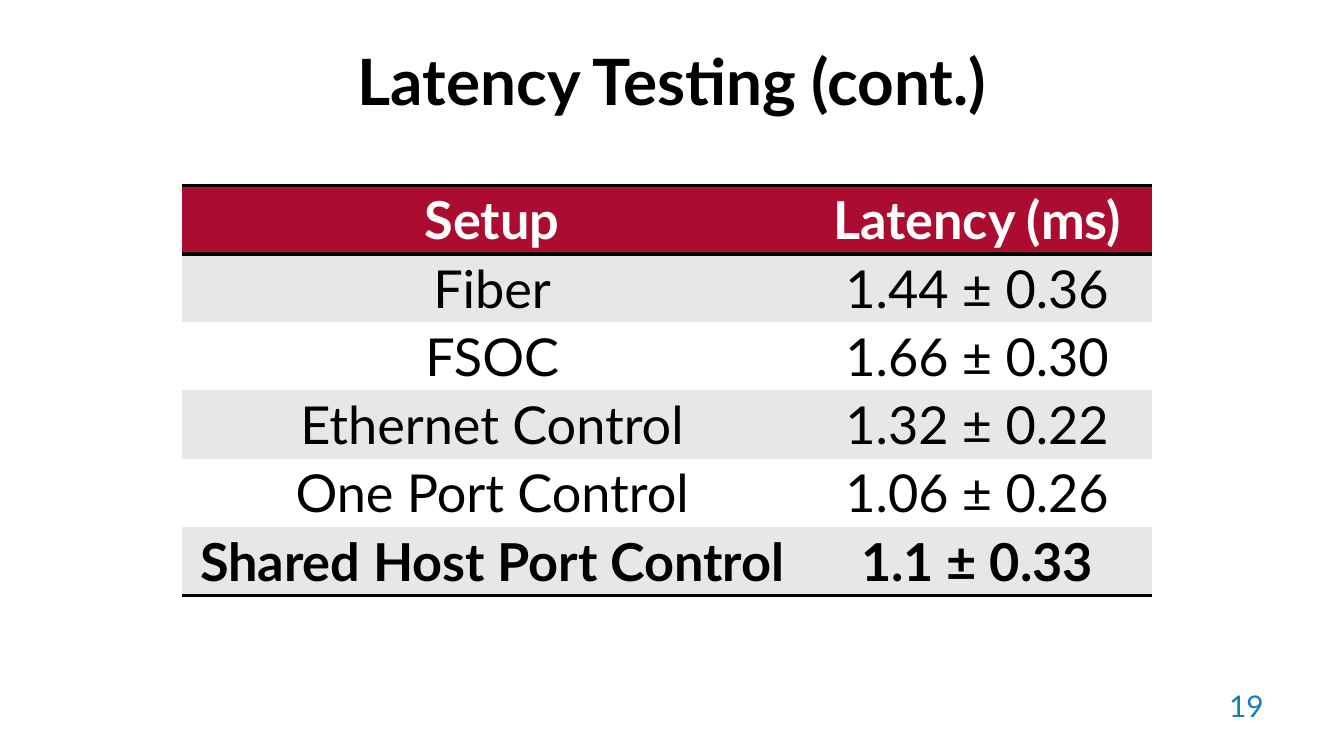
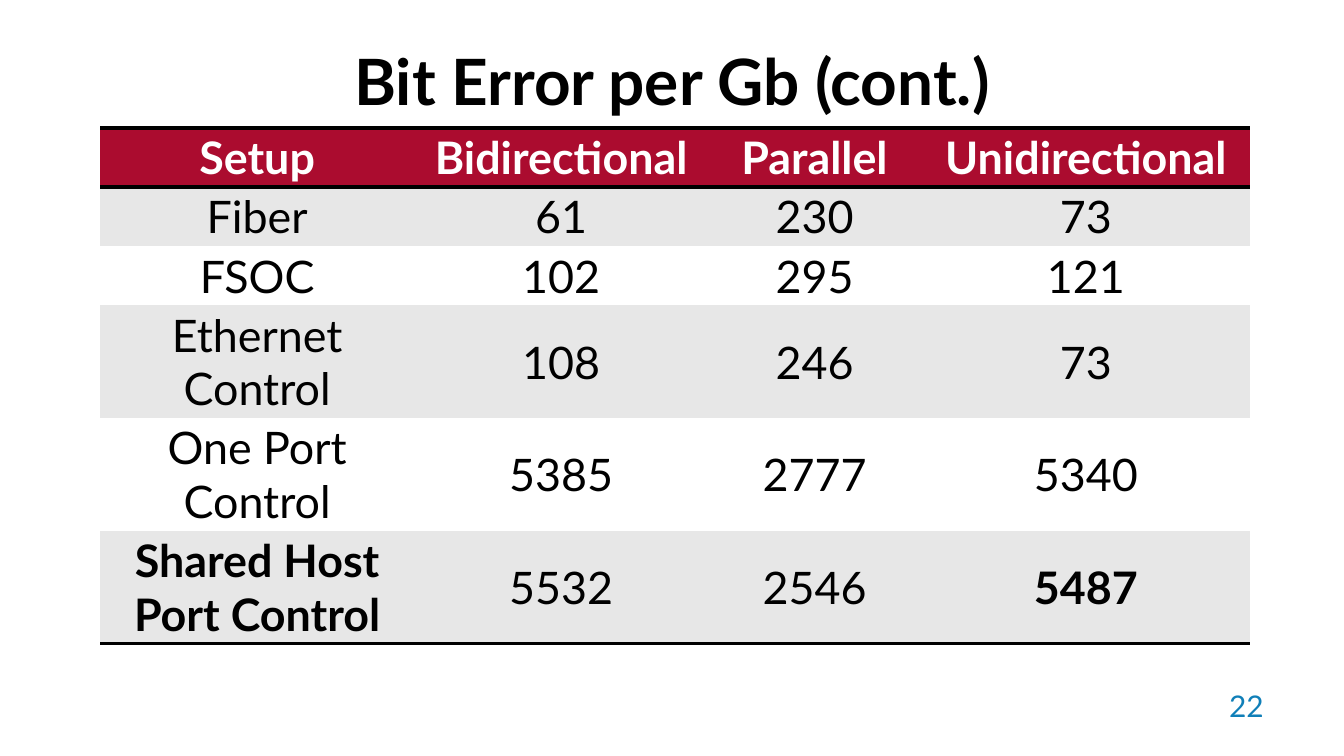
from dataclasses import dataclass

from lxml.etree import SubElement
from pptx import Presentation
from pptx.dml.color import RGBColor
from pptx.enum.text import MSO_ANCHOR, PP_ALIGN
from pptx.oxml import parse_xml
from pptx.oxml.ns import nsdecls, qn
from pptx.util import Cm, Pt

SLIDES = [
    {
        "title": "Latency Testing (cont.)",
        "number": "19",
        "origin": (3.44, 3.51),
        "columns": [11.72, 6.61],
        "row_heights": [1.29] * 6,
        "size": 28,
        "bold_columns": {0, 1},
        "rows": [
            ("Setup", "Latency (ms)"),
            ("Fiber", "1.44 ± 0.36"),
            ("FSOC", "1.66 ± 0.30"),
            ("Ethernet Control", "1.32 ± 0.22"),
            ("One Port Control", "1.06 ± 0.26"),
            ("Shared Host Port Control", "1.1 ± 0.33"),
        ],
    },
    {
        "title": "Bit Error per Gb (cont.)",
        "number": "22",
        "origin": (1.89, 2.42),
        "columns": [5.94, 5.55, 4.03, 6.22],
        "row_heights": [1.11] * 3 + [2.13] * 3,
        "size": 24,
        "bold_columns": {0, 3},
        "rows": [
            ("Setup", "Bidirectional", "Parallel", "Unidirectional"),
            ("Fiber", "61", "230", "73"),
            ("FSOC", "102", "295", "121"),
            ("Ethernet Control", "108", "246", "73"),
            ("One Port Control", "5385", "2777", "5340"),
            ("Shared Host Port Control", "5532", "2546", "5487"),
        ],
    },
]


@dataclass(frozen=True)
class Theme:
    font: str = "Lato"
    ink: str = "000000"
    paper: str = "FFFFFF"
    header: str = "AB0C2F"
    band: str = "E7E7E7"
    number: str = "107FB8"
    title_size: float = 34.2
    number_size: float = 16
    rule_width: float = 2


THEME = Theme()
TITLE_BOX = (1.27, 0.58, 22.86, 1.85)
NUMBER_BOX = (22.73, 12.88, 1.4, 1.14)
PLAIN_TABLE_STYLE = "{2D5ABB26-0587-4C30-8999-92F81FD0307C}"


def write(frame, text, *, size, color=THEME.ink, bold=False, align=PP_ALIGN.CENTER):
    frame.word_wrap = True
    para = frame.paragraphs[0]
    para.alignment = align
    span = para.add_run()
    span.text = text
    span.font.name = THEME.font
    span.font.size = Pt(size)
    span.font.bold = bold
    span.font.color.rgb = RGBColor.from_string(color)


def add_text(page, place, text, *, anchor=MSO_ANCHOR.TOP, **style):
    box = page.shapes.add_textbox(*map(Cm, place))
    box.text_frame.vertical_anchor = anchor
    write(box.text_frame, text, **style)


def draw_rules(cell, sides):
    properties = cell._tc.get_or_add_tcPr()
    for position, side in enumerate(sides):
        line = parse_xml(f'<a:ln{side} {nsdecls("a")} w="{Pt(THEME.rule_width)}"/>')
        fill = SubElement(line, qn("a:solidFill"))
        SubElement(fill, qn("a:srgbClr"), val=THEME.ink)
        properties.insert(position, line)


def add_results(page, content):
    rows, columns, heights = content["rows"], content["columns"], content["row_heights"]
    left, top = content["origin"]
    area = map(Cm, (left, top, sum(columns), sum(heights)))
    table = page.shapes.add_table(len(rows), len(columns), *area).table
    table.first_row = table.horz_banding = False
    table._tbl.tblPr.find(qn("a:tableStyleId")).text = PLAIN_TABLE_STYLE
    for column, width in zip(table.columns, columns):
        column.width = Cm(width)
    for row, height in zip(table.rows, heights):
        row.height = Cm(height)

    last = len(rows) - 1
    for row_index, values in enumerate(rows):
        is_header = row_index == 0
        background = THEME.header if is_header else THEME.band if row_index % 2 else THEME.paper
        sides = "TB" if is_header else "B" if row_index == last else ""
        for column_index, value in enumerate(values):
            cell = table.cell(row_index, column_index)
            cell.margin_left = cell.margin_right = Cm(0.08)
            cell.margin_top = cell.margin_bottom = Cm(0.05)
            cell.vertical_anchor = MSO_ANCHOR.MIDDLE
            cell.fill.solid()
            cell.fill.fore_color.rgb = RGBColor.from_string(background)
            draw_rules(cell, sides)
            highlighted = row_index == last and column_index in content["bold_columns"]
            write(cell.text_frame, value, size=content["size"], bold=is_header or highlighted,
                  color=THEME.paper if is_header else THEME.ink)


def add_page(deck, content):
    page = deck.slides.add_slide(deck.slide_layouts[6])
    page.background.fill.solid()
    page.background.fill.fore_color.rgb = RGBColor.from_string(THEME.paper)
    add_text(page, TITLE_BOX, content["title"], size=THEME.title_size, bold=True,
             anchor=MSO_ANCHOR.MIDDLE)
    add_text(page, NUMBER_BOX, content["number"], size=THEME.number_size,
             color=THEME.number, align=PP_ALIGN.RIGHT)
    add_results(page, content)


def main():
    deck = Presentation()
    deck.slide_width, deck.slide_height = Cm(25.4), Cm(14.29)
    for content in SLIDES:
        add_page(deck, content)
    deck.save("out.pptx")


if __name__ == "__main__":
    main()
